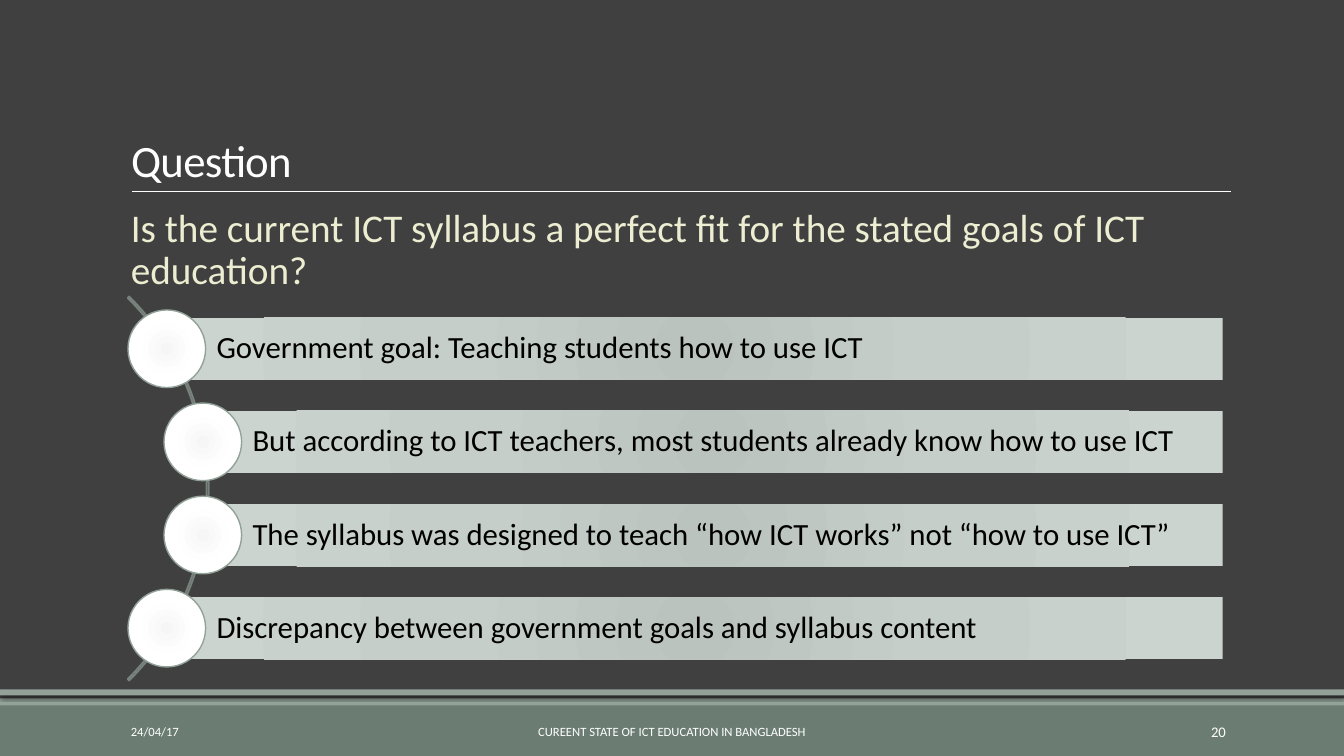
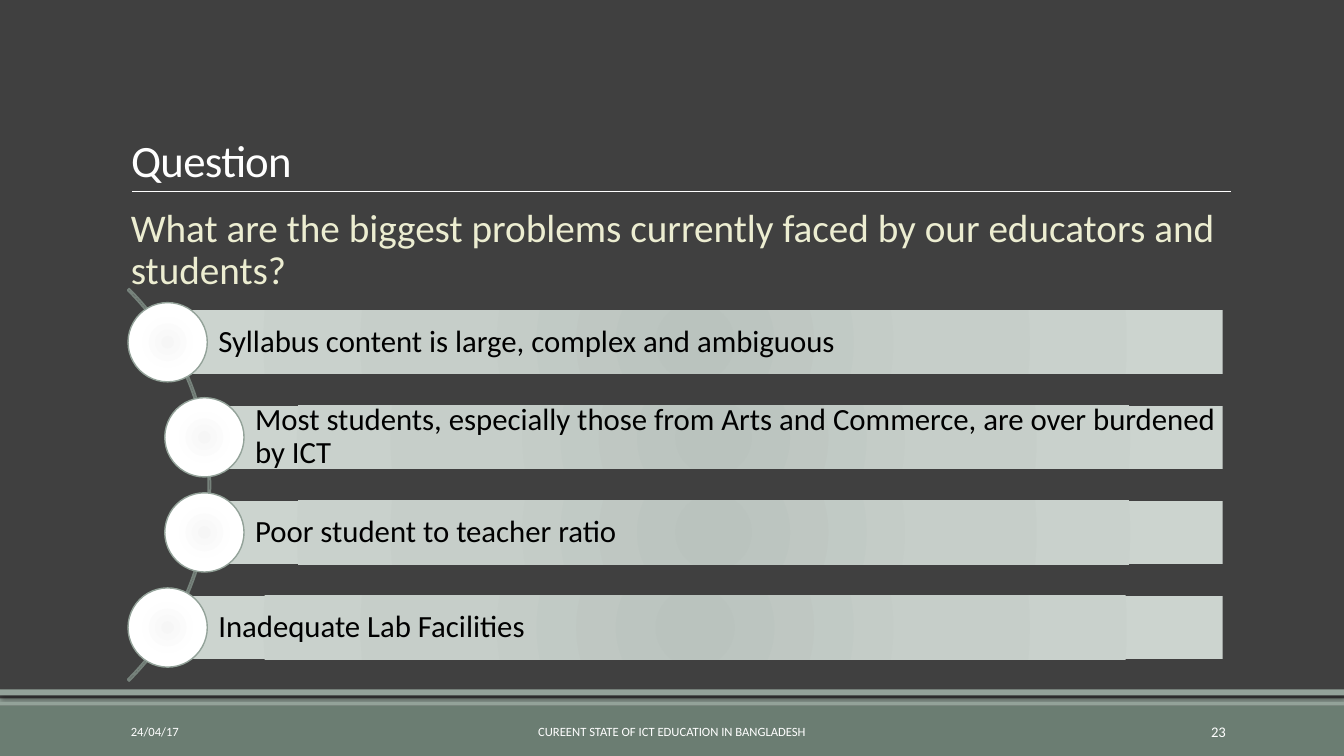
from lxml import etree
from pptx import Presentation
from pptx import util as u
from pptx.dml.color import RGBColor
from pptx.enum import shapes, text
from pptx.oxml import ns

DARK, WHITE, BLACK = "404040", "FFFFFF", "000000"
GREEN, SAGE, CREAM, CURVE = "6B7D72", "93A299", "ECEDD1", "76827B"
BAR = {0: "BAC3BE", 45: "C6CEC9", 100: "CCD4CF"}
BALL = {0: "F6F6F6", 45: "FEFEFE", 100: "FFFFFF"}
KIND = shapes.MSO_SHAPE
LEFT, MID, RIGHT = text.PP_ALIGN.LEFT, text.PP_ALIGN.CENTER, text.PP_ALIGN.RIGHT
HIGH, HALF, LOW = text.MSO_ANCHOR.TOP, text.MSO_ANCHOR.MIDDLE, text.MSO_ANCHOR.BOTTOM
CELL = 0.1
COLS, ROWS = 133.33, 75


def grid(n):
    return u.Inches(n * CELL)


def paint(code):
    return RGBColor.from_string(code)


def put(item, values):
    for name, value in values.items():
        setattr(item, name, value)


def node(top, tag, **values):
    return etree.SubElement(top, ns.qn("a:" + tag), {k: str(v) for k, v in values.items()})


class Deck:
    def __init__(self):
        self.show = Presentation()
        put(self.show, {"slide_width": grid(COLS), "slide_height": grid(ROWS)})
        back = self.show.slide_master.background.fill
        back.solid()
        back.fore_color.rgb = paint(DARK)
        self.slide = None

    def page(self, title, number):
        self.slide = self.show.slides.add_slide(self.show.slide_layouts[5])
        self.shape(KIND.RECTANGLE, (0, 70, COLS, 5), GREEN)
        self.shape(KIND.RECTANGLE, (0, 69.3, COLS, 0.7), SAGE)
        self.shade(self.shape(KIND.RECTANGLE, (0, 68.4, COLS, 0.6), SAGE))
        self.rule(13.1, 19, 122.1, 19)
        head = self.slide.shapes.title
        put(head, {"left": grid(12), "top": grid(3.1), "width": grid(110), "height": grid(15.9)})
        run = self.fill(head, title, 32, WHITE, gap=0.85, vertical_anchor=LOW)
        run.font._element.set("spc", "-50")
        self.label((12, 70.6, 27, 4), "24/04/17", 9)
        self.label((40.3, 70.6, 52.7, 4), "CUREENT STATE OF ICT EDUCATION IN BANGLADESH", 9, align=MID)
        self.label((108.3, 70.6, 14.3, 4), str(number), 10.5, align=RIGHT)

    def shape(self, kind, box, fill=None, line=None, width=1):
        item = self.slide.shapes.add_shape(kind, *map(grid, box))
        item.shadow.inherit = False
        if isinstance(fill, str):
            item.fill.solid()
            item.fill.fore_color.rgb = paint(fill)
        else:
            item.fill.background()
            if fill:
                self.glow(item, fill)
        if line:
            item.line.color.rgb = paint(line)
            item.line.width = u.Pt(width)
        else:
            item.line.fill.background()
        return item

    def glow(self, item, stops):
        props = item._element.spPr
        old = props.find(ns.qn("a:noFill"))
        fill = node(props, "gradFill", rotWithShape=1)
        rows = node(fill, "gsLst")
        for spot, code in stops.items():
            node(node(rows, "gs", pos=spot * 1000), "srgbClr", val=code)
        node(node(fill, "path", path="circle"), "fillToRect", **dict.fromkeys("ltrb", 100000))
        props.replace(old, fill)

    def shade(self, item):
        effects = item._element.spPr.find(ns.qn("a:effectLst"))
        cast = node(effects, "outerShdw", blurRad=u.Pt(2), dist=u.Pt(2), dir=5400000)
        node(node(cast, "srgbClr", val=BLACK), "alpha", val=40000)

    def rule(self, *ends):
        line = self.slide.shapes.add_connector(shapes.MSO_CONNECTOR.STRAIGHT, *map(grid, ends))
        line.line.color.rgb = paint(WHITE)
        line.line.width = u.Pt(0.5)
        node(line._element.spPr, "effectLst")

    def fill(self, item, words, size, color, align=LEFT, gap=1, **frame):
        put(item.text_frame, {"word_wrap": True, "auto_size": text.MSO_AUTO_SIZE.NONE, **frame})
        para = item.text_frame.paragraphs[0]
        put(para, {"alignment": align, "line_spacing": gap})
        run = para.add_run()
        run.text = words
        put(run.font, {"name": "Calibri", "size": u.Pt(size)})
        run.font.color.rgb = paint(color)
        return run

    def label(self, box, words, size, color=WHITE, anchor=HALF, **style):
        item = self.slide.shapes.add_textbox(*map(grid, box))
        self.fill(item, words, size, color, vertical_anchor=anchor, **style)
        return item

    def ask(self, words):
        item = self.label((12, 20.2, 110, 44), words, 28, CREAM, HIGH, gap=0.9, margin_right=0)
        put(item.text_frame.paragraphs[0], {"space_before": u.Pt(12), "space_after": u.Pt(2)})

    def chain(self, items, tall):
        left, right, base = 12.7, 121.3, 65.4
        step, ball, ring = 1.5 * tall, 1.25 * tall, 8.75 * tall
        last = len(items) - 1
        top = base - tall - step * last
        arc = self.shape(KIND.BLOCK_ARC, (left + 1.3 * tall - ring, (top + base - ring) / 2, ring, ring),
                         line=CURVE, width=1.25)
        for i, value in enumerate((189, 27, 0.004)):
            arc.adjustments[i] = value
        pads = dict.fromkeys(("margin_right", "margin_top", "margin_bottom"), grid(0.6))
        for i, words in enumerate(items):
            x = left + (0.58 * tall if 0 < i < last else 0)
            y = top + i * step
            start = x + ball / 2
            bar = self.shape(KIND.RECTANGLE, (start, y, right - start, tall), BAR)
            self.fill(bar, words, 22, BLACK, gap=0.9, margin_left=grid(0.8 * tall),
                      vertical_anchor=HALF, **pads)
            self.shape(KIND.OVAL, (x, y - (ball - tall) / 2, ball, ball), BALL, SAGE)


PAGES = [
    (20, "Is the current ICT syllabus a perfect fit for the stated goals of ICT education?", 6.16, [
        "Government goal: Teaching students how to use ICT",
        "But according to ICT teachers, most students already know how to use ICT",
        "The syllabus was designed to teach “how ICT works” not “how to use ICT”",
        "Discrepancy between government goals and syllabus content"]),
    (23, "What are the biggest problems currently faced by our educators and students?", 6.29, [
        "Syllabus content is large, complex and ambiguous",
        "Most students, especially those from Arts and Commerce, are over burdened by ICT",
        "Poor student to teacher ratio",
        "Inadequate Lab Facilities"]),
]

deck = Deck()
for number, query, tall, items in PAGES:
    deck.page("Question", number)
    deck.ask(query)
    deck.chain(items, tall)
deck.show.save("out.pptx")
